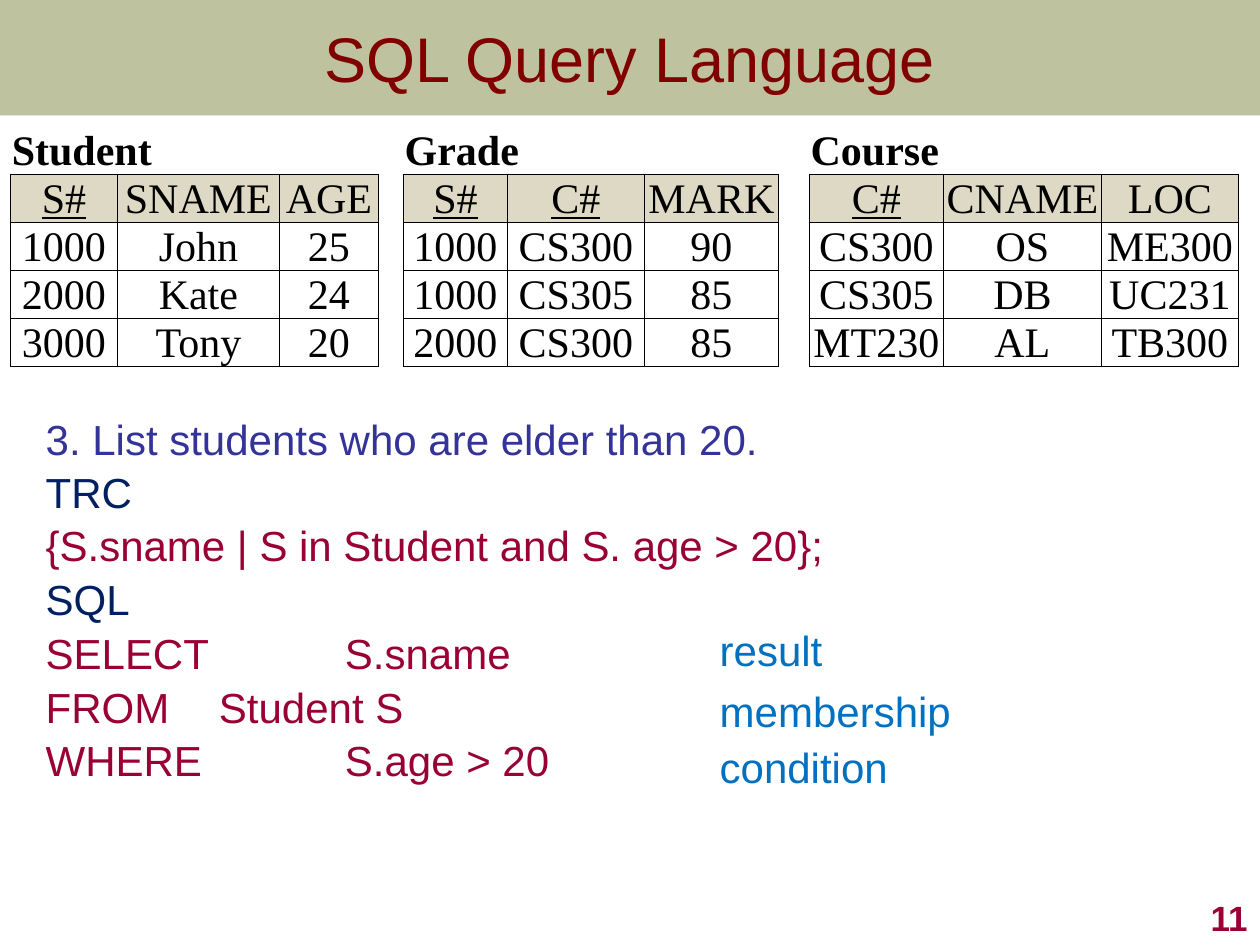
from dataclasses import dataclass

from lxml import etree
from pptx import Presentation
from pptx.dml.color import RGBColor
from pptx.enum.text import MSO_ANCHOR, MSO_AUTO_SIZE, PP_ALIGN
from pptx.oxml.ns import qn
from pptx.util import Pt

LEFT, CENTER, RIGHT = PP_ALIGN.LEFT, PP_ALIGN.CENTER, PP_ALIGN.RIGHT
TOP, MIDDLE, BOTTOM = MSO_ANCHOR.TOP, MSO_ANCHOR.MIDDLE, MSO_ANCHOR.BOTTOM
NO_AUTOFIT = MSO_AUTO_SIZE.NONE

SANS, SERIF = "Arial", "Times New Roman"
BLACK, WHITE, HEADER_FILL = "000000", "FFFFFF", "DDD9C4"
MAROON, CRIMSON, INDIGO = "800000", "990033", "333399"
NAVY, BLUE, OLIVE = "002060", "0070C0", "6E7524"
ROW_HEIGHT = 27.4
SIDES = "LRTB"


@dataclass(frozen=True)
class Relation:
    name: str
    widths: tuple
    keys: int  # number of leading columns that form the key
    rows: tuple
    gap: float = 0  # width of the empty column that follows


@dataclass(frozen=True)
class Line:
    text: str
    color: str
    hanging: float = 0  # hanging indent, where text after the tab starts
    spacing: float = 0.9


@dataclass(frozen=True)
class Label:
    text: str
    top: float
    width: float
    height: float


RELATIONS = (
    Relation("Student", (61.1, 92.6, 56.6), 1,
             (("S#", "SNAME", "AGE"), ("1000", "John", "25"),
              ("2000", "Kate", "24"), ("3000", "Tony", "20")), 14.3),
    Relation("Grade", (59.4, 78.3, 76.6), 2,
             (("S#", "C#", "MARK"), ("1000", "CS300", "90"),
              ("1000", "CS305", "85"), ("2000", "CS300", "85")), 17.7),
    Relation("Course", (76.6, 90.3, 78.3), 1,
             (("C#", "CNAME", "LOC"), ("CS300", "OS", "ME300"),
              ("CS305", "DB", "UC231"), ("MT230", "AL", "TB300"))),
)

LINES = (
    Line("3. List students who are elder than 20.", INDIGO, spacing=1),
    Line("TRC", NAVY),
    Line("{S.sname | S in Student and S. age > 20};", CRIMSON),
    Line("SQL", NAVY),
    Line("SELECT\tS.sname", CRIMSON, 171),
    Line("FROM\tStudent S", CRIMSON, 99),
    Line("WHERE\tS.age > 20", CRIMSON, 171),
)

LABELS = (
    Label("result", 364, 102.2, 25.2),
    Label("membership", 389.2, 154.1, 34.6),
    Label("condition", 420, 165.6, 36),
)


def rgb(color: str) -> RGBColor:
    return RGBColor.from_string(color)


def write(paragraph, text: str, *, color: str, size: float = 24, font: str = SANS,
          bold: bool = False, underline: bool = False, align=LEFT) -> None:
    paragraph.alignment = align
    run = paragraph.add_run()
    run.text = text
    run.font.name, run.font.size = font, Pt(size)
    run.font.bold, run.font.underline = bold, underline
    run.font.color.rgb = rgb(color)


def place(shape, left: float, top: float, width: float, height: float, anchor):
    """Position a text shape and return its text frame."""
    shape.left, shape.top = Pt(left), Pt(top)
    shape.width, shape.height = Pt(width), Pt(height)
    frame = shape.text_frame
    frame.word_wrap = True
    frame.auto_size = NO_AUTOFIT
    frame.vertical_anchor = anchor
    return frame


def add_title(slide) -> None:
    title = slide.shapes.title
    frame = place(title, 0, 0, 720, 66, MIDDLE)
    title.fill.solid()
    title.fill.fore_color.rgb = rgb(OLIVE)
    color = title.fill._xPr.find(qn("a:solidFill"))[0]
    etree.SubElement(color, qn("a:alpha"), val="44000")
    write(frame.paragraphs[0], "SQL Query Language", color=MAROON, size=36, align=CENTER)


def add_query(slide) -> None:
    frame = place(slide.placeholders[1], 18.9, 232.4, 683.1, 307.6, TOP)
    frame.margin_right = 0
    for index, line in enumerate(LINES):
        paragraph = frame.add_paragraph() if index else frame.paragraphs[0]
        write(paragraph, line.text, color=line.color)
        paragraph.line_spacing = line.spacing
        paragraph.space_before = Pt(4.8)
        properties = paragraph._p.get_or_add_pPr()
        properties.set("marL", str(Pt(line.hanging)))
        properties.set("indent", str(Pt(-line.hanging)))
        etree.SubElement(properties, qn("a:buNone"))


def add_label(slide, label: Label, left: float, **text_format) -> None:
    box = slide.shapes.add_textbox(0, 0, 0, 0)
    frame = place(box, left, label.top, label.width, label.height, BOTTOM)
    write(frame.paragraphs[0], label.text, **text_format)


def format_cell(cell, borders: str, fill: str = WHITE) -> None:
    """Rule the named sides, clear the others, then fill."""
    properties = cell._tc.get_or_add_tcPr()
    for side in SIDES:
        edge = etree.SubElement(properties, qn(f"a:ln{side}"), w=str(Pt(0.5)))
        if side in borders:
            paint = etree.SubElement(edge, qn("a:solidFill"))
            etree.SubElement(paint, qn("a:srgbClr"), val=BLACK)
        else:
            etree.SubElement(edge, qn("a:noFill"))
    cell.fill.solid()
    cell.fill.fore_color.rgb = rgb(fill)
    cell.margin_left = cell.margin_right = Pt(0.72)
    cell.margin_top = cell.margin_bottom = 0
    cell.vertical_anchor = BOTTOM


def fill_relation(table, relation: Relation, first: int) -> None:
    # Name above the columns
    last = first + len(relation.widths) - 1
    for column in range(first, last + 1):
        format_cell(table.cell(0, column), "B")
    name_cell = table.cell(0, first)
    name_cell.merge(table.cell(0, last))
    write(name_cell.text_frame.paragraphs[0], relation.name,
          color=BLACK, font=SERIF, bold=True)

    # Header and records
    for row, values in enumerate(relation.rows, start=1):
        is_header = row == 1
        for offset, value in enumerate(values):
            cell = table.cell(row, first + offset)
            format_cell(cell, SIDES, HEADER_FILL if is_header else WHITE)
            write(cell.text_frame.paragraphs[0], value, color=BLACK, font=SERIF,
                  underline=is_header and offset < relation.keys, align=CENTER)

    # Empty column before the next relation
    if relation.gap:
        for row in range(len(relation.rows) + 1):
            format_cell(table.cell(row, last + 1), "LR" if row else "")


def add_relations(slide) -> None:
    widths = [width for relation in RELATIONS
              for width in (*relation.widths, relation.gap) if width]
    row_count = len(RELATIONS[0].rows) + 1
    table = slide.shapes.add_table(row_count, len(widths), Pt(6), Pt(72.3),
                                   Pt(sum(widths)), Pt(row_count * ROW_HEIGHT)).table
    table.first_row = table.horz_banding = False
    for column, width in zip(table.columns, widths):
        column.width = Pt(width)
    first = 0
    for relation in RELATIONS:
        fill_relation(table, relation, first)
        first += len(relation.widths) + 1


def main() -> None:
    presentation = Presentation()
    presentation.slide_width, presentation.slide_height = Pt(720), Pt(540)
    slide = presentation.slides.add_slide(presentation.slide_layouts[1])
    add_query(slide)
    add_title(slide)
    for label in LABELS:
        add_label(slide, label, 404.2, color=BLUE)
    add_label(slide, Label("11", 504, 149.8, 36), 570.2,
              color=CRIMSON, size=20, bold=True, align=RIGHT)
    add_relations(slide)
    presentation.save("out.pptx")


if __name__ == "__main__":
    main()
